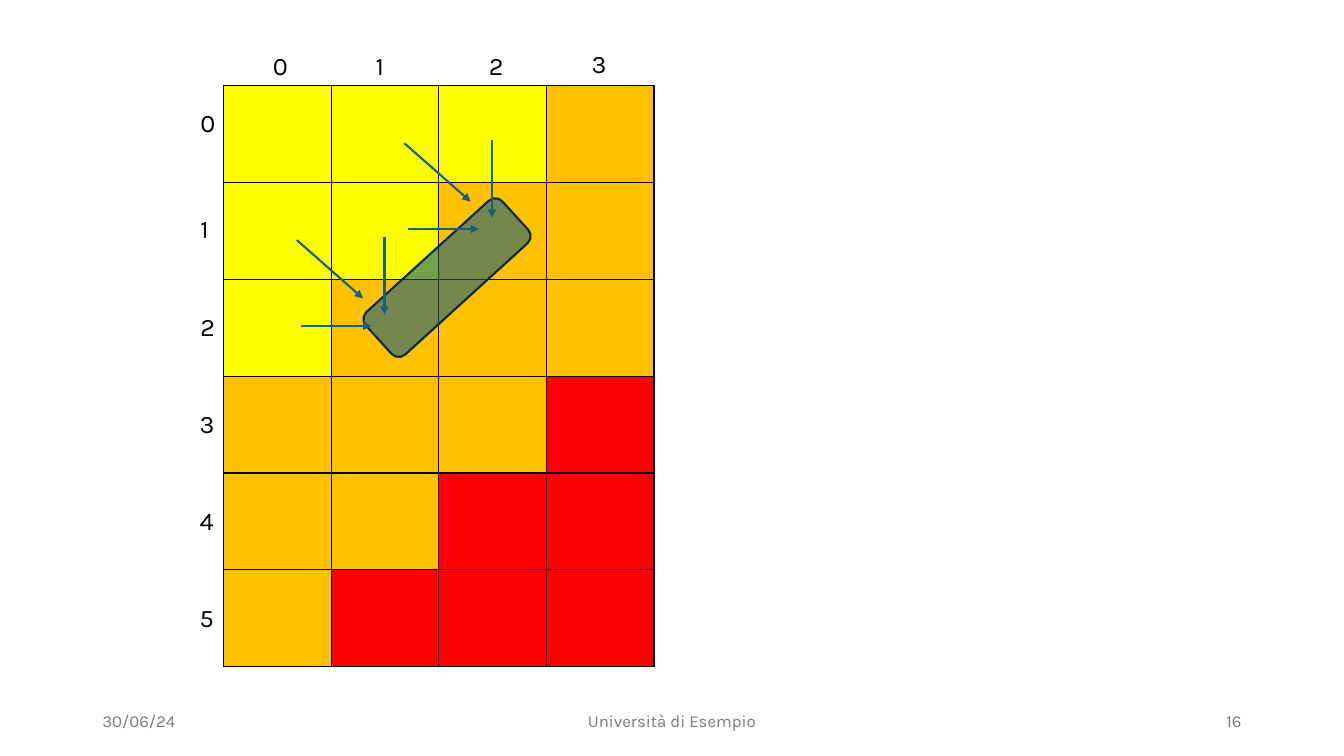
from pptx import Presentation
from pptx.dml.color import RGBColor
from pptx.enum import shapes, text
from pptx.oxml import parse_xml
from pptx.oxml.ns import nsdecls
from pptx.util import Cm, Pt

YELLOW = RGBColor(0xFF, 0xFF, 0x00)
ORANGE = RGBColor(0xFF, 0xC0, 0x00)
RED = RGBColor(0xFF, 0x00, 0x00)
BLACK = RGBColor(0x00, 0x00, 0x00)
GREY = RGBColor(0x79, 0x79, 0x79)
TEAL = RGBColor(0x15, 0x60, 0x82)
NAVY = RGBColor(0x09, 0x2A, 0x39)

FONT = "Karla"
LEVELS = {"Y": YELLOW, "O": ORANGE, "R": RED}
HEAT_ROWS = ["YYYO", "YYOO", "YOOO", "OOOR", "OORR", "ORRR"]
CELL_WIDTH, CELL_HEIGHT = 2.71, 2.44

# Label corners, measured from the corner of the grid
COLUMN_LABELS = [(0.99, -1.02), (3.58, -1.02), (6.43, -1.02), (9.02, -1.07)]
ROW_LABELS = [(-0.84, 0.43), (-0.84, 3.1), (-0.84, 5.56),
              (-0.86, 8.0), (-0.86, 10.44), (-0.86, 12.9)]

# Cells (row, column) reached by arrows from their three neighbours,
# and the arrow ends measured from the cell's corner
TARGET_CELLS = [(1, 2), (2, 1)]
NEIGHBOUR_ARROWS = [
    (1.34, -1.07, 1.34, 0.89),
    (-0.77, 1.17, 1.01, 1.17),
    (-0.87, -0.99, 0.8, 0.48),
]


def add_text(page, words, left, top, width, height, size, color, wrap=True):
    box = page.shapes.add_textbox(Cm(left), Cm(top), Cm(width), Cm(height))
    frame = box.text_frame
    frame.word_wrap = wrap
    para = frame.paragraphs[0]
    para.text = words
    para.font.name = FONT
    para.font.size = Pt(size)
    para.font.color.rgb = color
    return box


def add_borders(cell):
    properties = cell._tc.get_or_add_tcPr()
    for side in ("lnL", "lnR", "lnT", "lnB"):
        properties.append(parse_xml(
            f'<a:{side} {nsdecls("a")} w="12700"><a:solidFill>'
            f'<a:srgbClr val="{BLACK}"/></a:solidFill></a:{side}>'))


def add_heat_grid(page, left, top):
    row_count, column_count = len(HEAT_ROWS), len(HEAT_ROWS[0])
    table = page.shapes.add_table(
        row_count, column_count, Cm(left), Cm(top),
        Cm(CELL_WIDTH * column_count), Cm(CELL_HEIGHT * row_count)).table
    for column in table.columns:
        column.width = Cm(CELL_WIDTH)
    for row, levels in zip(table.rows, HEAT_ROWS):
        row.height = Cm(CELL_HEIGHT)
        for cell, level in zip(row.cells, levels):
            add_borders(cell)
            cell.fill.solid()
            cell.fill.fore_color.rgb = LEVELS[level]


def add_grid_labels(page, left, top):
    for labels in (COLUMN_LABELS, ROW_LABELS):
        for number, (right_by, down_by) in enumerate(labels):
            add_text(page, str(number), left + right_by, top + down_by,
                     0.86, 1.02, 18, BLACK, wrap=False)


def add_diagonal_band(page, left, top, width, height):
    band = page.shapes.add_shape(
        shapes.MSO_SHAPE.ROUNDED_RECTANGLE,
        Cm(left), Cm(top), Cm(width), Cm(height))
    band.rotation = 227.7
    band.shadow.inherit = False
    band.fill.solid()
    band.fill.fore_color.rgb = TEAL
    color = band.fill._xPr.solidFill[0]
    color.append(parse_xml(f'<a:alpha {nsdecls("a")} val="59000"/>'))
    band.line.color.rgb = NAVY
    band.line.width = Pt(1.5)


def add_arrow(page, start_x, start_y, end_x, end_y):
    arrow = page.shapes.add_connector(
        shapes.MSO_CONNECTOR.STRAIGHT,
        Cm(start_x), Cm(start_y), Cm(end_x), Cm(end_y))
    arrow.line.color.rgb = TEAL
    arrow.line.width = Pt(1.5)
    arrow.line._get_or_add_ln().append(
        parse_xml(f'<a:tailEnd {nsdecls("a")} type="triangle"/>'))
    arrow._element.spPr.append(parse_xml(f'<a:effectLst {nsdecls("a")}/>'))


def add_neighbour_arrows(page, left, top):
    for row, column in TARGET_CELLS:
        cell_x = left + column * CELL_WIDTH
        cell_y = top + row * CELL_HEIGHT
        for start_x, start_y, end_x, end_y in NEIGHBOUR_ARROWS:
            add_arrow(page, cell_x + start_x, cell_y + start_y,
                      cell_x + end_x, cell_y + end_y)


def add_footer(page, left, top, height):
    align = text.PP_ALIGN
    for words, right_by, width, alignment in [
            ("30/06/24", 0, 7.62, align.LEFT),
            ("Università di Esempio", 8.89, 11.43, align.CENTER),
            ("16", 21.59, 7.62, align.RIGHT)]:
        box = add_text(page, words, left + right_by, top, width, height,
                       12, GREY)
        box.text_frame.vertical_anchor = text.MSO_ANCHOR.MIDDLE
        box.text_frame.paragraphs[0].alignment = alignment


def add_heat_map(page, left, top):
    add_heat_grid(page, left, top)
    add_diagonal_band(page, left + 4.9, top + 2.51, 1.45, 4.65)
    add_neighbour_arrows(page, left, top)
    add_grid_labels(page, left, top)


def main():
    deck = Presentation()
    deck.slide_width, deck.slide_height = Cm(33.87), Cm(19.05)
    page = deck.slides.add_slide(deck.slide_layouts[6])
    add_heat_map(page, 5.64, 2.16)
    add_footer(page, 2.33, 17.65, 1.02)
    deck.save("out.pptx")


if __name__ == "__main__":
    main()
